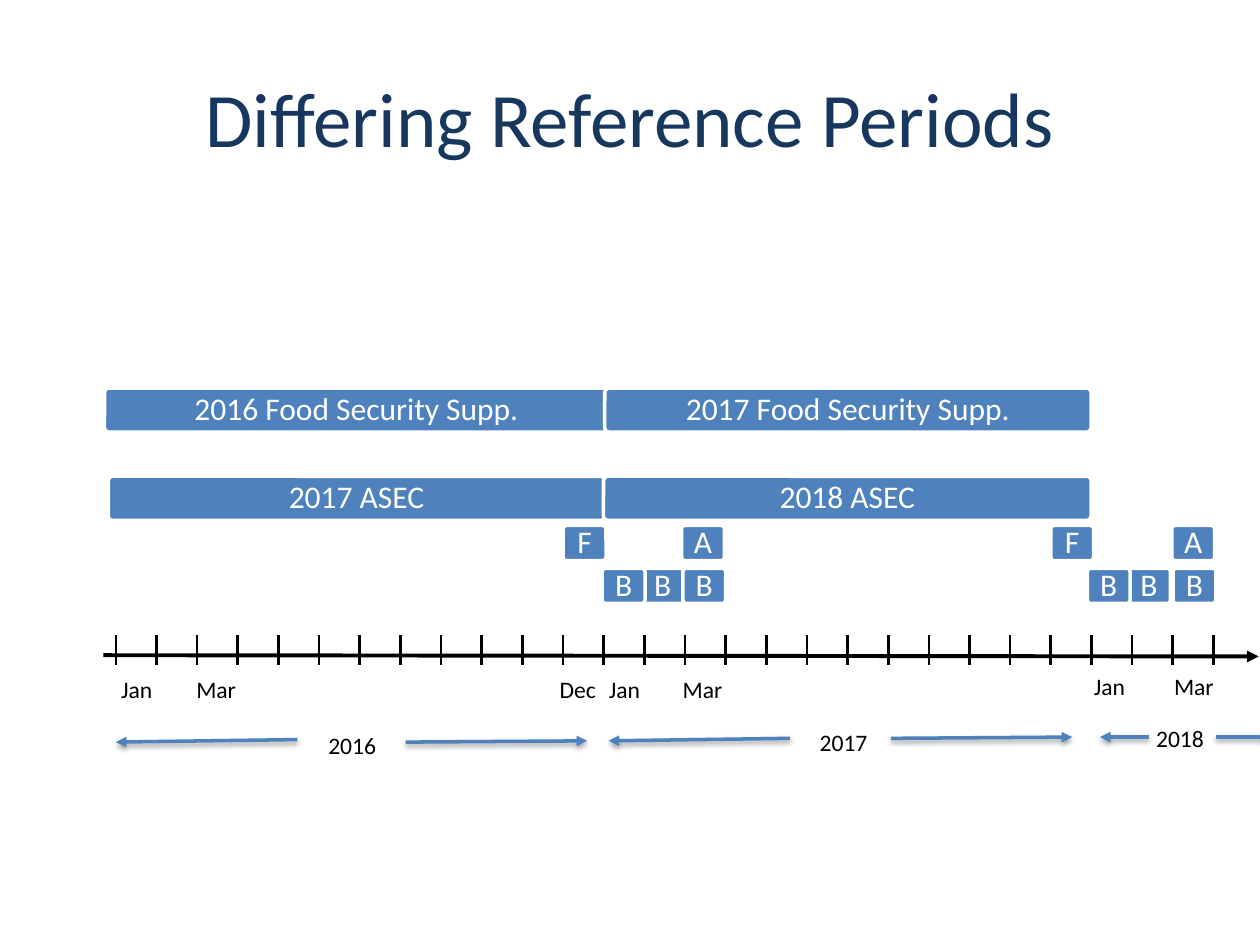
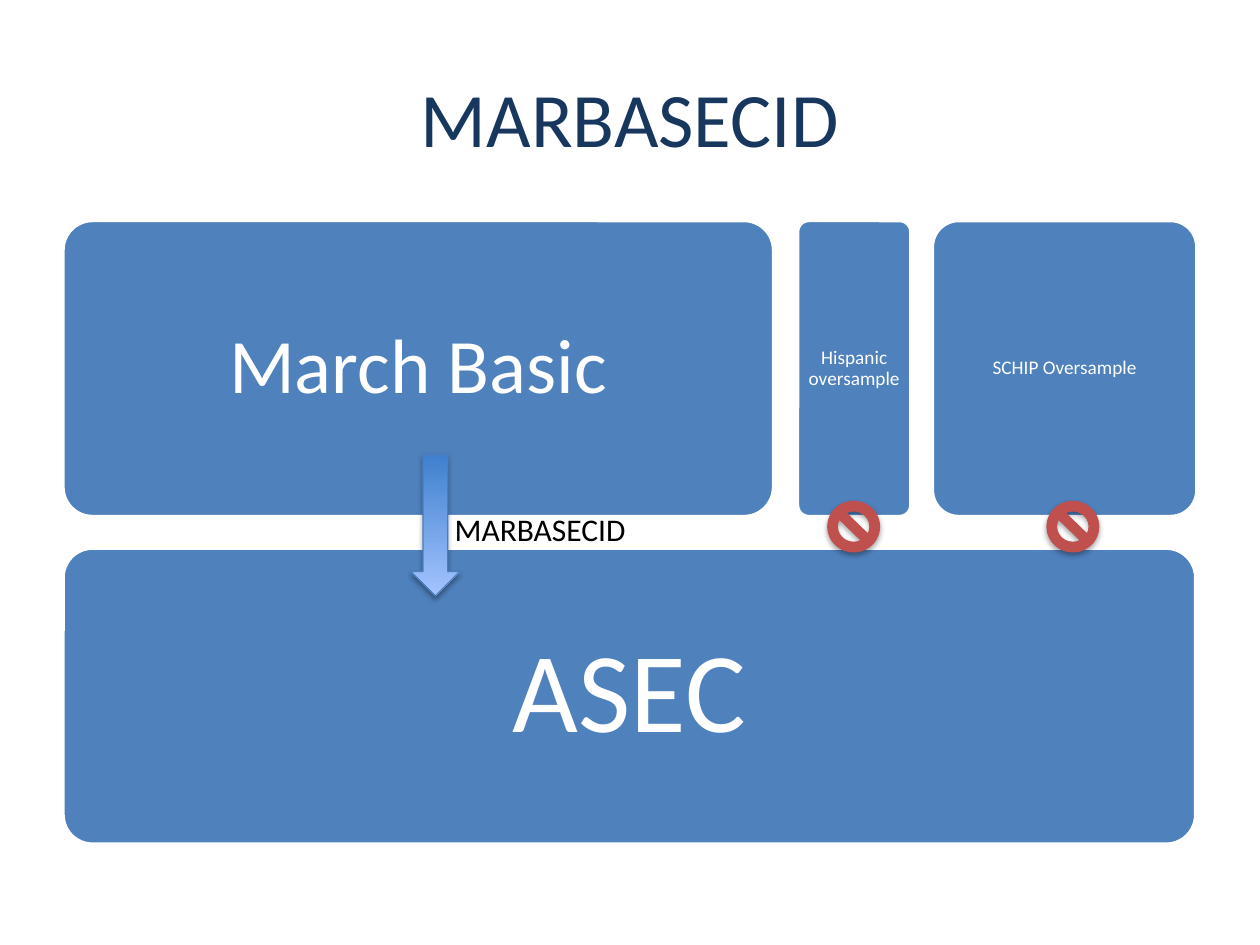
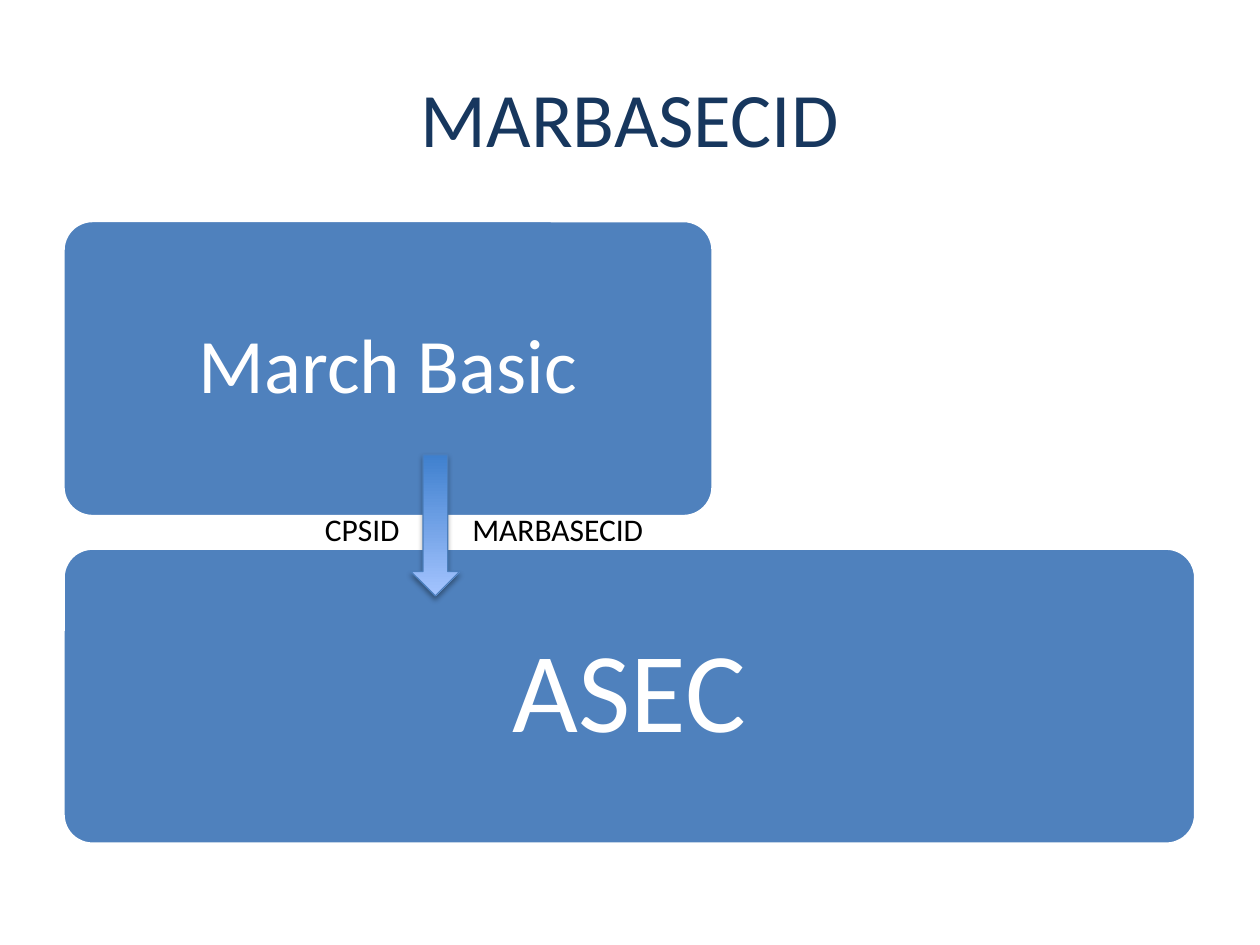
from dataclasses import dataclass
from lxml.etree import SubElement
from pptx import Presentation
from pptx.dml.color import RGBColor
from pptx.enum.shapes import MSO_CONNECTOR as CONNECTOR, MSO_SHAPE as SHAPE
from pptx.enum.text import MSO_ANCHOR as ANCHOR, PP_ALIGN as ALIGN
from pptx.oxml.ns import qn
from pptx.util import Inches, Pt

FONT = "Calibri"
NAVY, BLUE, RED = "17375E", "4F81BD", "C0504D"
BLACK, WHITE = "000000", "FFFFFF"
ARROW_TOP, ARROW_TIP, ARROW_EDGE = "3F80CE", "A4C4FF", "4B7EBC"
TITLE_ONLY = 5


@dataclass
class Box:
    left: float
    top: float
    width: float
    height: float

    def inner(self, left, top, width, height):
        return Box(self.left + left, self.top + top, width, height)

    def lengths(self):
        return [Inches(n) for n in (self.left, self.top, self.width, self.height)]


def color(hex_code):
    return RGBColor.from_string(hex_code)


def write_text(frame, text, size=18, fill=BLACK, align=ALIGN.CENTER,
               anchor=ANCHOR.TOP, spacing=None, inset=None):
    frame.word_wrap = True
    frame.vertical_anchor = anchor
    if inset is not None:
        frame.margin_left = frame.margin_right = Inches(inset)
        frame.margin_top = frame.margin_bottom = Inches(inset)
    para = frame.paragraphs[0]
    para.alignment = align
    para.line_spacing = spacing
    span = para.add_run()
    span.text = text
    span.font.name = FONT
    span.font.size = Pt(size)
    span.font.color.rgb = color(fill)


def add_label(page, box, text, **style):
    write_text(page.shapes.add_textbox(*box.lengths()).text_frame, text, **style)


def set_shadow(shape, opacity=0, distance=0):
    properties = shape._element.spPr
    for old in properties.findall(qn("a:effectLst")):
        properties.remove(old)
    effects = SubElement(properties, qn("a:effectLst"))
    if opacity:
        shadow = SubElement(effects, qn("a:outerShdw"), blurRad=str(Pt(3.1)),
                            dist=str(Pt(distance)), dir="5400000", rotWithShape="0")
        tone = SubElement(shadow, qn("a:srgbClr"), val=BLACK)
        SubElement(tone, qn("a:alpha"), val=str(opacity * 1000))


def add_shape(page, kind, box, fill, edge, edge_width):
    shape = page.shapes.add_shape(kind, *box.lengths())
    shape.shadow.inherit = False
    if fill:
        shape.fill.solid()
        shape.fill.fore_color.rgb = color(fill)
    shape.line.color.rgb = color(edge)
    shape.line.width = Pt(edge_width)
    return shape


def add_tile(page, box, text, size=18, inset=0):
    tile = add_shape(page, SHAPE.ROUNDED_RECTANGLE, box, BLUE, WHITE, 2)
    tile.adjustments[0] = 0.1
    write_text(tile.text_frame, text, size=size, fill=WHITE,
               anchor=ANCHOR.MIDDLE, spacing=0.9, inset=inset)


def add_line(page, box, start, end, stroke=BLACK, width=1.5, head=False, shadow=0):
    ends = [Inches(n) for x, y in (start, end) for n in (box.left + x, box.top + y)]
    line = page.shapes.add_connector(CONNECTOR.STRAIGHT, *ends)
    line.line.color.rgb = color(stroke)
    line.line.width = Pt(width)
    if head:
        outline = line._element.spPr.find(qn("a:ln"))
        SubElement(outline, qn("a:tailEnd"), type="triangle")
    set_shadow(line, shadow, 1.6)


def add_page(deck, title):
    page = deck.slides.add_slide(deck.slide_layouts[TITLE_ONLY])
    holder = page.shapes.title
    holder.left, holder.top, holder.width, holder.height = Box(0.5, 0.3, 9, 1.25).lengths()
    write_text(holder.text_frame, title, size=44, fill=NAVY, anchor=ANCHOR.MIDDLE)
    return page


def draw_surveys(page, box):
    bars = [("2016 Food Security Supp.", 0, 0, 4), ("2017 Food Security Supp.", 3.97, 0, 3.86),
            ("2017 ASEC", 0.03, 0.7, 3.94), ("2018 ASEC", 3.96, 0.7, 3.87)]
    for text, left, top, width in bars:
        add_tile(page, box.inner(left, top, width, 0.35), text)
    months = [("F", 1.09, (3.64, 7.51)), ("A", 1.09, (4.58, 8.47)),
              ("B", 1.43, (4.26, 4.59, 3.95, 8.12, 8.48, 7.8))]
    for letter, top, lefts in months:
        for left in lefts:
            add_tile(page, box.inner(left, top, 0.34, 0.28), letter)


def draw_axis(page, box):
    add_line(page, box, (-0.1, 0.16), (9.07, 0.17), width=2.25, head=True)
    month_count = 27
    for month in range(month_count + 1):
        x = box.width * month / month_count
        add_line(page, box, (x, 0), (x, 0.24))
    months = [("Jan", -0.31, 0.27), ("Mar", 0.32, 0.27), ("Dec", 3.19, 0.27),
              ("Jan", 3.56, 0.27), ("Mar", 4.18, 0.27), ("Jan", 7.41, 0.24), ("Mar", 8.08, 0.24)]
    years = [("2016", 1.4, 0.71), ("2017", 5.3, 0.69), ("2018", 7.97, 0.66)]
    for text, left, top in months + years:
        add_label(page, box.inner(left, top, 0.95, 0.33), text, size=13.5)
    spans = [((1.44, 0.83), (0, 0.85)), ((2.3, 0.85), (3.74, 0.84)),
             ((5.35, 0.82), (3.91, 0.84)), ((6.15, 0.82), (7.59, 0.81)),
             ((8.2, 0.81), (7.81, 0.81)), ((8.73, 0.81), (9.18, 0.81))]
    for start, end in spans:
        add_line(page, box, start, end, stroke=BLUE, width=2, head=True, shadow=38)


def draw_link_arrow(page, box):
    arrow = add_shape(page, SHAPE.UP_ARROW, box, None, ARROW_EDGE, 0.75)
    arrow.rotation = 180
    arrow.fill.gradient()
    arrow.fill.gradient_angle = 90
    for stop, tone in zip(arrow.fill.gradient_stops, (ARROW_TOP, ARROW_TIP)):
        stop.color.rgb = color(tone)
    set_shadow(arrow, 35, 1.8)


def draw_linkage(page, box, samples, barriers, labels):
    row_height = 2.35
    add_tile(page, box.inner(0, box.height - row_height, box.width, row_height),
             "ASEC", size=65, inset=0.27)
    for text, left, width, size in samples:
        add_tile(page, box.inner(left, 0, width, row_height), text, size=size, inset=0.05)
    draw_link_arrow(page, box.inner(2.76, 1.86, 0.39, 1.12))
    for left in barriers:
        sign = add_shape(page, SHAPE.NO_SYMBOL, box.inner(left, 2.23, 0.41, 0.4), RED, RED, 0.75)
        set_shadow(sign, 35, 1.8)
    for text, left in labels:
        add_label(page, box.inner(left, 2.25, 2.05, 0.4), text, align=ALIGN.LEFT)


def main():
    deck = Presentation()
    deck.slide_width, deck.slide_height = Inches(10), Inches(7.5)

    periods = add_page(deck, "Differing Reference Periods")
    draw_surveys(periods, Box(0.83, 3.08, 8.82, 1.71))
    draw_axis(periods, Box(0.92, 5.04, 8.71, 1.04))

    diagram = Box(0.5, 1.75, 8.99, 4.95)
    oversamples = [("March Basic", 0, 5.64, 44), ("Hispanic oversample", 5.83, 0.9, 11),
                   ("SCHIP Oversample", 6.9, 2.1, 11)]
    draw_linkage(add_page(deck, "MARBASECID"), diagram, oversamples,
                 barriers=(6.07, 7.81), labels=[("MARBASECID", 3.01)])
    draw_linkage(add_page(deck, "MARBASECID"), diagram, [("March Basic", 0, 5.16, 44)],
                 barriers=(), labels=[("MARBASECID", 3.15), ("CPSID", 1.98)])

    deck.save("out.pptx")


if __name__ == "__main__":
    main()
